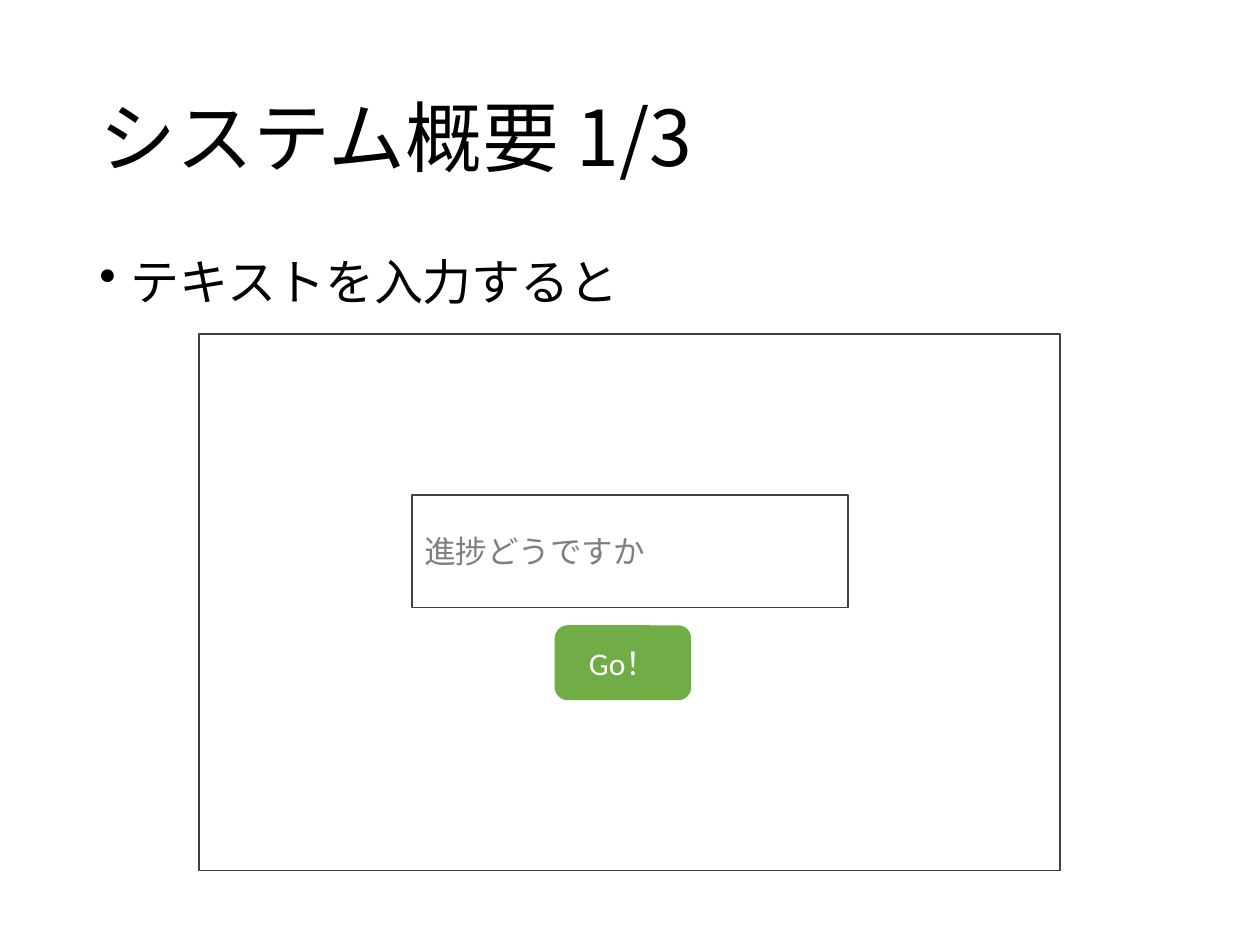
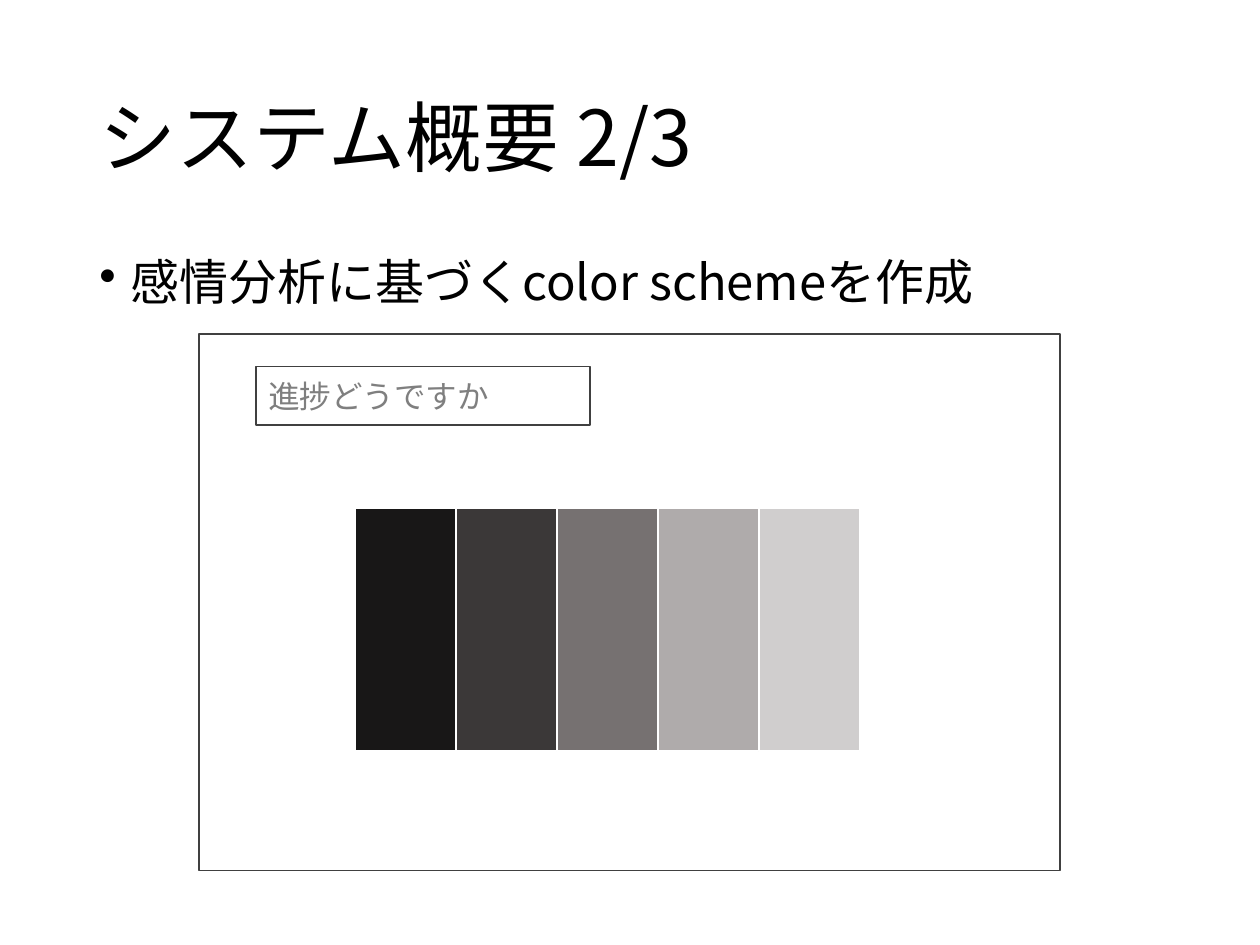
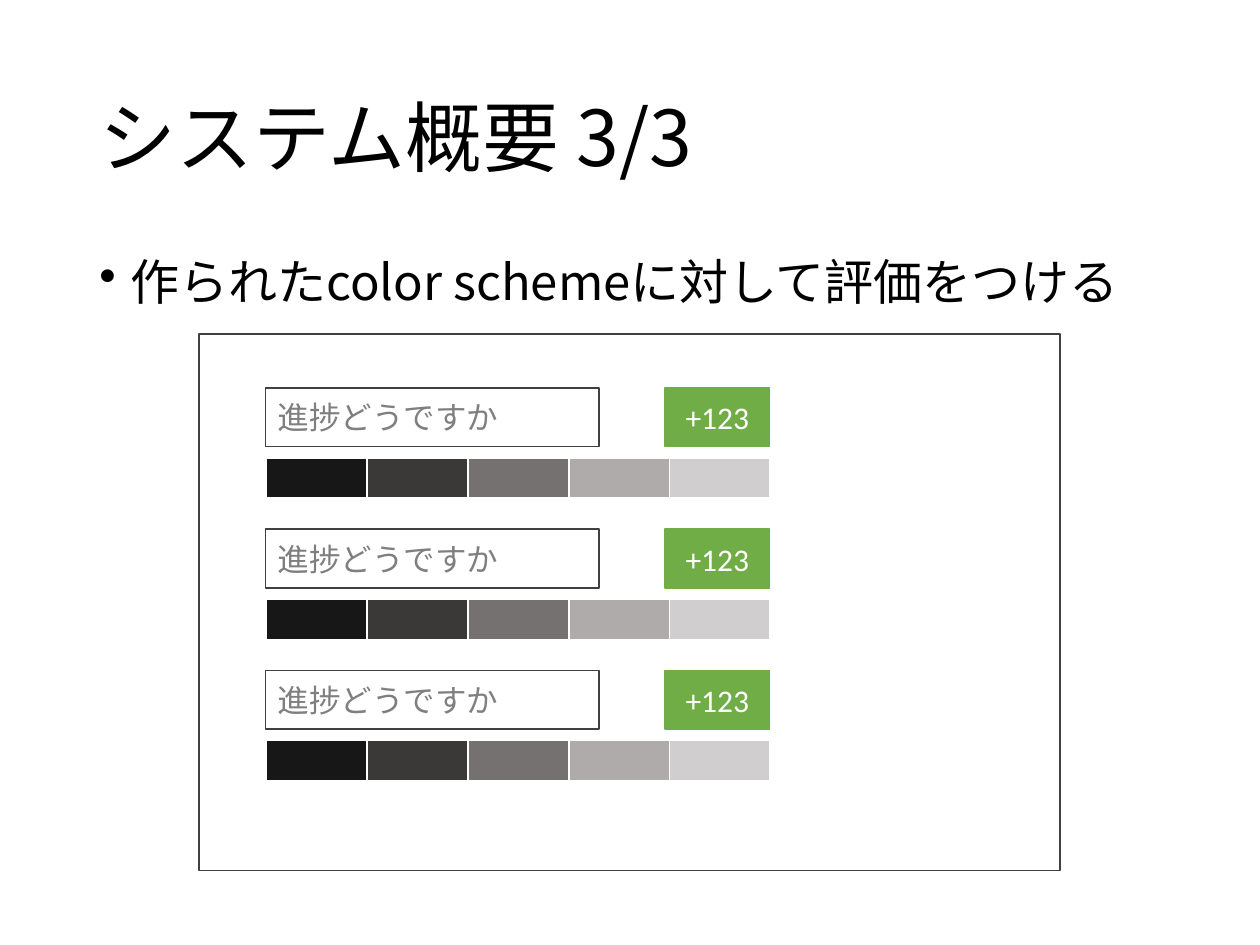
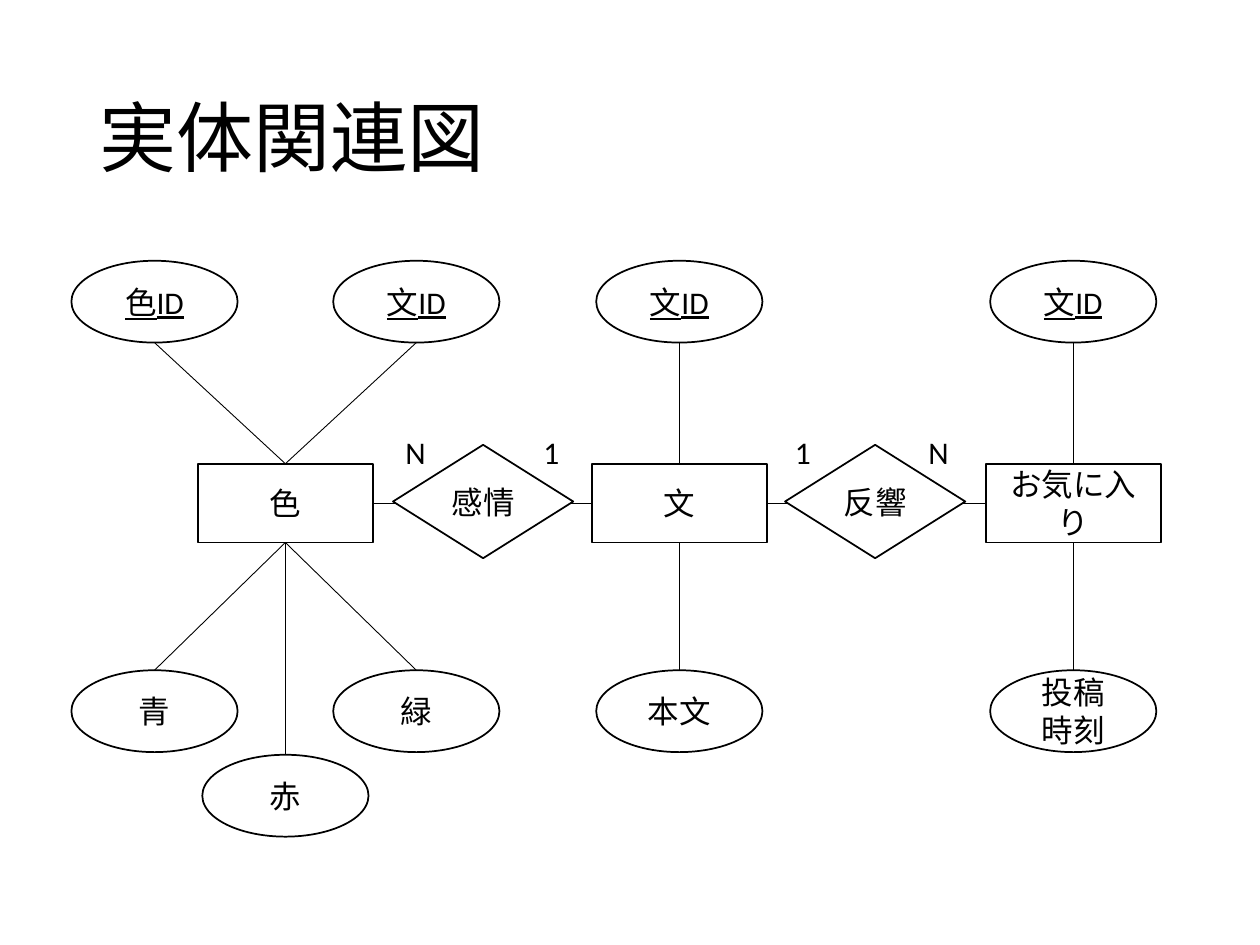
import pptx
import pptx.dml.color
import pptx.enum.shapes
import pptx.enum.text
import pptx.oxml.ns
import pptx.util
from lxml import etree

Pt = pptx.util.Pt
KIND = pptx.enum.shapes.MSO_SHAPE
ALIGN = pptx.enum.text.PP_ALIGN
ANCHOR = pptx.enum.text.MSO_ANCHOR
qn = pptx.oxml.ns.qn

SANS = "Noto Sans CJK JP"
LATIN = "Calibri"
BLACK, WHITE, DARK = "000000", "FFFFFF", "404040"
GRAY, GREEN = "7F7F7F", "70AD47"
SCHEME = ["181717", "3B3838", "767171", "AFABAB", "D0CECE"]
QUERY = "進捗どうですか"


def color(code):
    """Turn a hex string into a colour."""
    return pptx.dml.color.RGBColor.from_string(code)


def style(para, size, face, ink, under=False):
    """Set the font of a whole paragraph."""
    font = para.font
    font.size, font.name = Pt(size), face
    font.color.rgb = color(ink)
    if under:
        font.underline = True
    etree.SubElement(font._rPr, qn("a:ea")).set("typeface", SANS)


def label(slide, text, box, size=18, face=LATIN, anchor=ANCHOR.TOP):
    """Add a text box and return its paragraph, not yet styled."""
    frame = slide.shapes.add_textbox(*map(Pt, box)).text_frame
    frame.word_wrap = True
    frame.vertical_anchor = anchor
    para = frame.paragraphs[0]
    para.text = text
    return para


def title(slide, text):
    """Add the slide title."""
    para = label(slide, text, (49.7, 28.8, 621.4, 104.4), anchor=ANCHOR.MIDDLE)
    para.line_spacing = 0.9
    style(para, 44, SANS, BLACK)


def bullet(slide, text):
    """Add the bulleted line under the title."""
    para = label(slide, text, (49.7, 144, 621.4, 342.7))
    para.line_spacing = 0.9
    props = para._p.get_or_add_pPr()
    props.set("marL", str(Pt(18)))
    props.set("indent", str(Pt(-18)))
    etree.SubElement(props, qn("a:buChar")).set("char", "•")
    style(para, 28, SANS, BLACK)


def block(slide, kind, box, fill, line, text="", ink=BLACK,
          align=ALIGN.CENTER, under=False):
    """Add a filled shape with optional text."""
    shape = slide.shapes.add_shape(kind, *map(Pt, box))
    shape.shadow.inherit = False
    shape.fill.solid()
    shape.fill.fore_color.rgb = color(fill)
    shape.line.color.rgb = color(line)
    shape.line.width = Pt(1)
    if text:
        frame = shape.text_frame
        frame.word_wrap = True
        frame.vertical_anchor = ANCHOR.MIDDLE
        para = frame.paragraphs[0]
        para.text = text
        para.alignment = align
        style(para, 18, LATIN, ink, under)
    return shape


def field(slide, box):
    """Add the text input of the mock screen."""
    block(slide, KIND.RECTANGLE, box, WHITE, DARK, QUERY, GRAY, ALIGN.LEFT)


def button(slide, kind, box, text):
    """Add a green button."""
    block(slide, kind, box, GREEN, GREEN, text, WHITE)


def swatch(slide, left, top, high):
    """Add the row of five scheme colours."""
    for i, shade in enumerate(SCHEME):
        box = (left + 57.65 * i, top, 57.6, high)
        block(slide, KIND.RECTANGLE, box, shade, WHITE)


def link(slide, x1, y1, x2, y2):
    """Add a thin straight line."""
    line = slide.shapes.add_connector(
        pptx.enum.shapes.MSO_CONNECTOR.STRAIGHT, *map(Pt, (x1, y1, x2, y2)))
    line.line.color.rgb = color(BLACK)
    line.line.width = Pt(0.5)
    etree.SubElement(line._element.spPr, qn("a:effectLst"))


def node(slide, kind, mid, top, size, text, under=False):
    """Add a diagram node centred on mid."""
    wide, high = size
    box = (mid - wide / 2, top, wide, high)
    block(slide, kind, box, WHITE, BLACK, text, under=under)


def ends(slide, left, first, last):
    """Add the cardinalities on both sides of a relation."""
    para = label(slide, first + "\t" + last, (left, 244.1, 103, 28.8))
    tabs = etree.SubElement(para._p.get_or_add_pPr(), qn("a:tabLst"))
    tab = etree.SubElement(tabs, qn("a:tab"))
    tab.set("pos", str(Pt(88)))
    tab.set("algn", "r")
    style(para, 18, LATIN, BLACK)


def page(deck, text):
    """Add a blank slide with a title."""
    slide = deck.slides.add_slide(deck.slide_layouts[6])
    title(slide, text)
    return slide


def mock(deck, part, text):
    """Add an overview slide with an empty mock screen."""
    slide = page(deck, f"システム概要 {part}/3")
    bullet(slide, text)
    block(slide, KIND.RECTANGLE, (113.8, 190.8, 491.8, 306.7), WHITE, DARK)
    return slide


def entry(deck):
    """Build the text entry screen."""
    slide = mock(deck, 1, "テキストを入力すると")
    field(slide, (235.4, 283, 249.1, 64.1))
    button(slide, KIND.ROUNDED_RECTANGLE, (317.5, 357.8, 77, 41.8), "Go！")


def result(deck):
    """Build the colour scheme screen."""
    slide = mock(deck, 2, "感情分析に基づくcolor schemeを作成")
    field(slide, (146.2, 209.5, 190.8, 33.4))
    swatch(slide, 203, 290.2, 139)


def rating(deck):
    """Build the rating screen."""
    slide = mock(deck, 3, "作られたcolor schemeに対して評価をつける")
    for i in range(3):
        top = 221.6 + 80.8 * i
        field(slide, (151.7, top, 190.8, 33.6))
        swatch(slide, 152, top + 40, 23)
        button(slide, KIND.RECTANGLE, (380, top, 59.8, 33.6), "+123")


def diagram(deck):
    """Build the entity relationship diagram."""
    slide = page(deck, "実体関連図")
    hue, body, fave = (163.1 + 225.1 * i for i in range(3))
    left, right = hue - 74.8, hue + 74.8
    head, foot, low = 149, 383, 431.3
    top, size = 265, (100, 45)
    base, oval = top + size[1], (95, 46.8)
    mid = top + size[1] / 2

    link(slide, hue + size[0] / 2, mid, fave - size[0] / 2, mid)
    for x, text in ((276.1, "感情"), (500.1, "反響")):
        node(slide, KIND.FLOWCHART_DECISION, x, 254.2, (103, 64.8), text)
    for x, text in ((hue, "色"), (body, "文"), (fave, "お気に入り")):
        node(slide, KIND.FLOWCHART_PROCESS, x, top, size, text)

    keys = ((left, hue, "色ID"), (right, hue, "文ID"),
            (body, body, "文ID"), (fave, fave, "文ID"))
    for x, owner, text in keys:
        node(slide, KIND.OVAL, x, head, oval, text, True)
        link(slide, x, head + oval[1], owner, top)

    traits = ((left, foot, hue, "青"), (hue, low, hue, "赤"),
              (right, foot, hue, "緑"), (body, foot, body, "本文"),
              (fave, foot, fave, "投稿時刻"))
    for x, y, owner, text in traits:
        node(slide, KIND.OVAL, x, y, oval, text)
        link(slide, owner, base, x, y)

    ends(slide, 224.6, "N", "1")
    ends(slide, 447.1, "1", "N")


def main():
    """Build and save the deck."""
    deck = pptx.Presentation()
    deck.slide_width, deck.slide_height = Pt(720), Pt(540)
    for build in (entry, result, rating, diagram):
        build(deck)
    deck.save("out.pptx")


if __name__ == "__main__":
    main()
